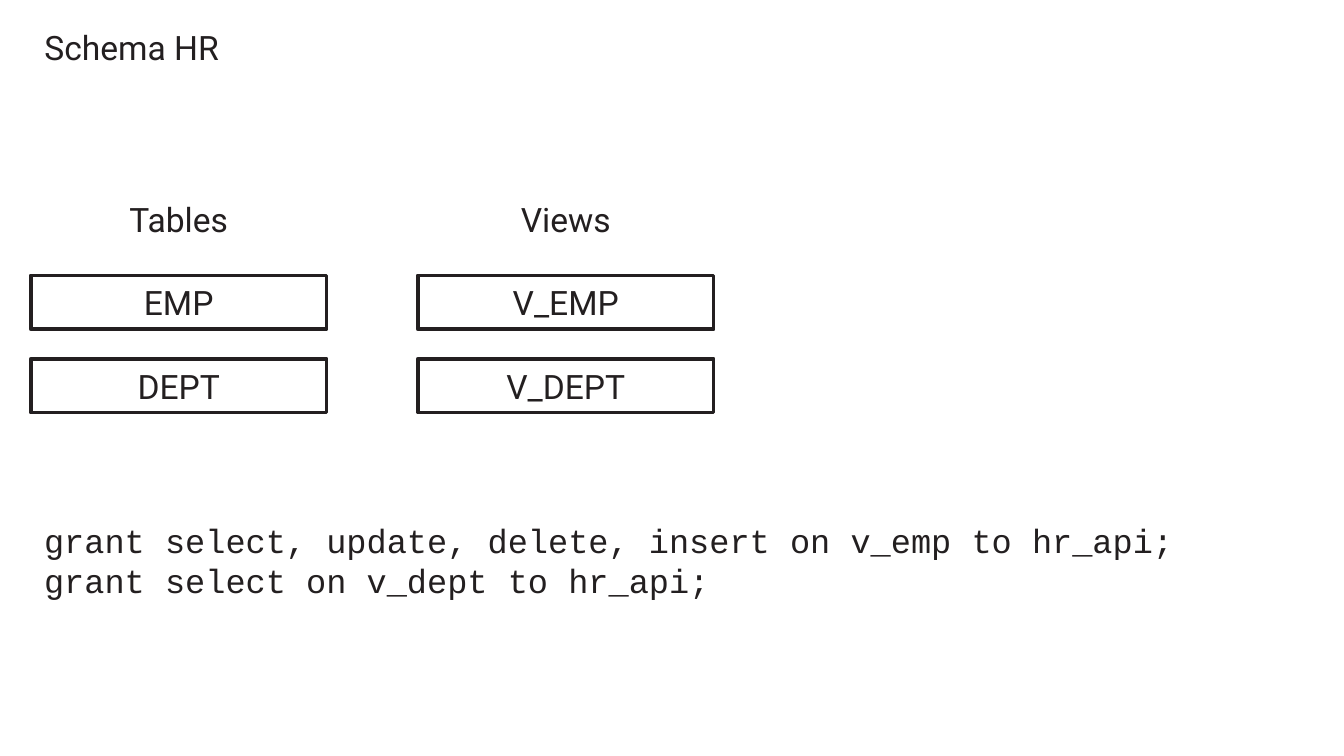
import pptx
import pptx.util
import pptx.dml.color
import pptx.enum.shapes
import pptx.enum.text

Inches = pptx.util.Inches
Pt = pptx.util.Pt
ALIGN = pptx.enum.text.PP_ALIGN
ANCHOR = pptx.enum.text.MSO_ANCHOR

INK = pptx.dml.color.RGBColor(0x23, 0x1F, 0x20)
WHITE = pptx.dml.color.RGBColor(0xFF, 0xFF, 0xFF)

TITLE = "Schema HR"
COLUMNS = [
    ("Tables", ["EMP", "DEPT"]),
    ("Views", ["V_EMP", "V_DEPT"]),
]
GRANTS = [
    "grant select, update, delete, insert on v_emp to hr_api;",
    "grant select on v_dept to hr_api;",
]

LEFT = 0.23
COLUMN_STEP = 2.88
HEADING_TOP = 1.43
ROW_STEP = 0.62
BOX_WIDTH = 2.2
BOX_HEIGHT = 0.4


def write(shape, text, alignment, anchor=ANCHOR.TOP, font="Roboto"):
    frame = shape.text_frame
    frame.text = text
    frame.word_wrap = True
    frame.auto_size = pptx.enum.text.MSO_AUTO_SIZE.NONE
    frame.vertical_anchor = anchor
    for paragraph in frame.paragraphs:
        paragraph.alignment = alignment
        for run in paragraph.runs:
            run.font.name = font
            run.font.size = Pt(18)
            run.font.color.rgb = INK


def add_label(slide, area, text, alignment, font="Roboto"):
    label = slide.shapes.add_textbox(*map(Inches, area))
    write(label, text, alignment, font=font)
    return label


def add_object_box(slide, area, text):
    box = slide.shapes.add_shape(
        pptx.enum.shapes.MSO_SHAPE.RECTANGLE, *map(Inches, area))
    box.shadow.inherit = False
    box.fill.solid()
    box.fill.fore_color.rgb = WHITE
    box.line.color.rgb = INK
    box.line.width = Pt(2)
    write(box, text, ALIGN.CENTER, ANCHOR.MIDDLE)


def main():
    presentation = pptx.Presentation()
    presentation.slide_width = Inches(10)
    presentation.slide_height = presentation.slide_width * 9 // 16
    slide = presentation.slides.add_slide(presentation.slide_layouts[5])
    slide.background.fill.solid()
    slide.background.fill.fore_color.rgb = WHITE

    title = slide.shapes.title
    title.left, title.top = Inches(LEFT), Inches(0.15)
    title.width, title.height = Inches(3.69), Inches(BOX_HEIGHT)
    write(title, TITLE, ALIGN.LEFT)

    for column, (heading, names) in enumerate(COLUMNS):
        left = LEFT + column * COLUMN_STEP
        add_label(slide, (left, HEADING_TOP, BOX_WIDTH, BOX_HEIGHT),
                  heading, ALIGN.CENTER)
        for row, name in enumerate(names, start=1):
            top = HEADING_TOP + row * ROW_STEP
            add_object_box(slide, (left, top, BOX_WIDTH, BOX_HEIGHT), name)

    grants = add_label(slide, (LEFT, 3.82, 9.4, 1.01),
                       "\n".join(GRANTS), ALIGN.LEFT, "Courier New")
    for paragraph in grants.text_frame.paragraphs:
        paragraph.line_spacing = Pt(21.4)

    presentation.save("out.pptx")


if __name__ == "__main__":
    main()
